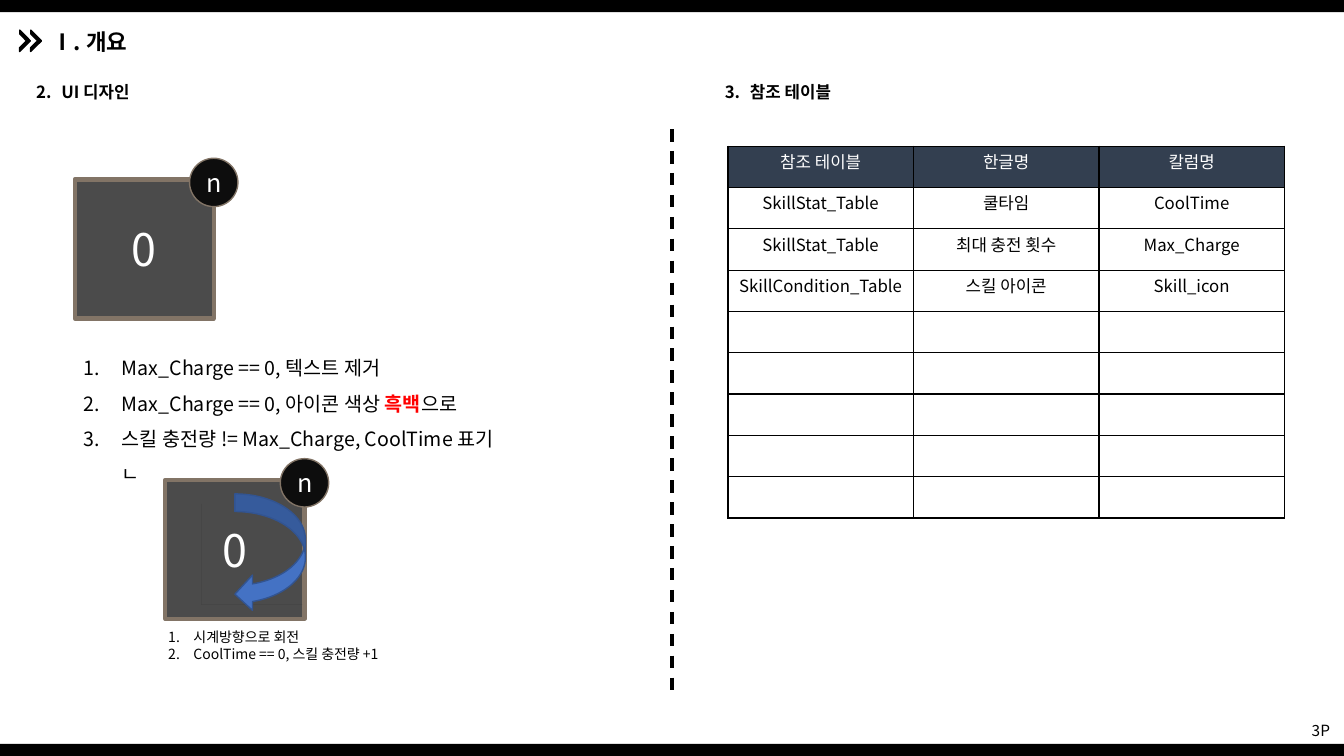
"""Build the overview slide with the skill icon design and its reference table."""
from copy import deepcopy

from lxml import etree
from pptx import Presentation
from pptx.dml.color import RGBColor
from pptx.enum.dml import MSO_LINE
from pptx.enum.shapes import MSO_CONNECTOR, MSO_SHAPE
from pptx.enum.text import MSO_ANCHOR, MSO_AUTO_SIZE, PP_ALIGN
from pptx.oxml.ns import qn
from pptx.util import Inches, Pt

LEFT, CENTER, RIGHT = PP_ALIGN.LEFT, PP_ALIGN.CENTER, PP_ALIGN.RIGHT
TOP, MIDDLE = MSO_ANCHOR.TOP, MSO_ANCHOR.MIDDLE
RECT, OVAL = MSO_SHAPE.RECTANGLE, MSO_SHAPE.OVAL
HALF_FRAME, CURVED_ARROW = MSO_SHAPE.HALF_FRAME, MSO_SHAPE.CURVED_LEFT_ARROW
FONT = "Noto Sans CJK KR"
COLORS = {
    "black": "000000", "white": "FFFFFF", "red": "FF0000", "tile": "4B4B4B",
    "frame": "827466", "badge": "0D0D0D", "arrow": "4472C4",
    "arrow_edge": "325491", "header": "333F50",
}

TITLE = "Ⅰ. 개요"
PAGE = "3P"
LISTS = [
    {"at": (0.26, 0.76, 1.19, 0.3), "size": 12, "bold": True, "start": 2,
     "hang": 0.25, "spacing": 1.0, "items": [["UI 디자인"]]},
    {"at": (7.09, 0.76, 1.36, 0.3), "size": 12, "bold": True, "start": 3,
     "hang": 0.25, "spacing": 1.0, "items": [["참조 테이블"]]},
    {"at": (0.73, 3.37, 4.46, 1.47), "size": 14, "bold": False, "start": 1,
     "hang": 0.38, "spacing": 1.5, "items": [
         ["Max_Charge == 0, 텍스트 제거"],
         ["Max_Charge == 0, 아이콘 색상 ", ("흑백", "red"), "으로"],
         ["스킬 충전량 != Max_Charge, CoolTime 표기", "\n", "ㄴ"]]},
    {"at": (1.57, 6.19, 2.48, 0.44), "size": 10, "bold": False, "start": 1,
     "hang": 0.25, "spacing": 1.0, "items": [
         ["시계방향으로 회전"], ["CoolTime == 0, 스킬 충전량 +1"]]},
]
TABLE_ROWS = [
    ("참조 테이블", "한글명", "칼럼명"),
    ("SkillStat_Table", "쿨타임", "CoolTime"),
    ("SkillStat_Table", "최대 충전 횟수", "Max_Charge"),
    ("SkillCondition_Table", "스킬 아이콘", "Skill_icon"),
]
TABLE_LEFT, TABLE_TOP, COLUMN, ROW, ROW_COUNT = 7.22, 1.45, 1.84, 0.41, 9
WIDTH, HEIGHT, BAR = 13.33, 7.5, 0.12
ICONS = [(0.74, 1.78), (1.64, 4.76)]
TILE, BADGE, BADGE_SHIFT = 1.38, 0.48, (1.14, -0.21)
CHEVRON, CHEVRON_TOP, CHEVRON_LEFTS = 0.15, 0.33, (0.23, 0.12)
SHADE = [(1.63, 4.77), (2.26, 4.77), (2.27, 5.52), (2.79, 6.15), (1.63, 6.15)]


def rgb(name):
    return RGBColor.from_string(COLORS[name])


def box(at):
    return [Inches(length) for length in at]


def set_all(target, values):
    for key, value in values.items():
        setattr(target, key, value)


def write(paragraph, text, size, color="black", bold=False):
    run = paragraph.add_run()
    run.text = text
    set_all(run.font, {"size": Pt(size), "bold": bold, "name": FONT})
    run.font.color.rgb = rgb(color)
    etree.SubElement(run.font._element, qn("a:ea"), typeface=FONT)
    return run


def write_line(frame, text, size, color, align, anchor, bold=False):
    frame.vertical_anchor = anchor
    paragraph = frame.paragraphs[0]
    paragraph.alignment = align
    write(paragraph, text, size, color, bold)


def paint(shape, fill, line=None, weight=1):
    shape.shadow.inherit = False
    shape.fill.solid()
    shape.fill.fore_color.rgb = rgb(fill)
    if line:
        shape.line.color.rgb = rgb(line)
        shape.line.width = Pt(weight)
    else:
        shape.line.fill.background()
    return shape


def add_shape(slide, kind, at, fill, line=None, weight=1):
    return paint(slide.shapes.add_shape(kind, *box(at)), fill, line, weight)


def add_icon(slide, left, top):
    tile = add_shape(slide, RECT, (left, top, TILE, TILE), "tile", "frame", 3)
    write_line(tile.text_frame, "0", 32, "white", CENTER, MIDDLE)
    dx, dy = BADGE_SHIFT
    badge = add_shape(slide, OVAL, (left + dx, top + dy, BADGE, BADGE), "badge", "frame")
    write_line(badge.text_frame, "n", 18, "white", CENTER, MIDDLE)


def add_list(slide, content):
    frame = slide.shapes.add_textbox(*box(content["at"])).text_frame
    set_all(frame, {"word_wrap": False, "auto_size": MSO_AUTO_SIZE.SHAPE_TO_FIT_TEXT})
    for index, item in enumerate(content["items"]):
        paragraph = frame.add_paragraph() if index else frame.paragraphs[0]
        paragraph.line_spacing = content["spacing"]
        properties = paragraph._p.get_or_add_pPr()
        hang = Inches(content["hang"])
        properties.set("marL", str(hang))
        properties.set("indent", str(-hang))
        number = etree.SubElement(properties, qn("a:buAutoNum"), type="arabicPeriod")
        if content["start"] > 1:
            number.set("startAt", str(content["start"]))
        for part in item:
            if part == "\n":
                paragraph.add_line_break()
                paragraph._p[-1].insert(0, deepcopy(run.font._element))
            elif isinstance(part, tuple):
                run = write(paragraph, part[0], content["size"], part[1], True)
            else:
                run = write(paragraph, part, content["size"], bold=content["bold"])


def add_borders(cell):
    properties = cell._tc.get_or_add_tcPr()
    for index, side in enumerate(("lnL", "lnR", "lnT", "lnB")):
        border = etree.Element(qn(f"a:{side}"), w=str(Pt(1)))
        fill = etree.SubElement(border, qn("a:solidFill"))
        etree.SubElement(fill, qn("a:srgbClr"), val=COLORS["black"])
        properties.insert(index, border)


def add_reference_table(slide):
    columns = len(TABLE_ROWS[0])
    at = (TABLE_LEFT, TABLE_TOP, COLUMN * columns, ROW * ROW_COUNT)
    table = slide.shapes.add_table(ROW_COUNT, columns, *box(at)).table
    set_all(table, {"first_row": False, "horz_banding": False})
    for row in range(ROW_COUNT):
        for column in range(columns):
            cell = table.cell(row, column)
            cell.fill.solid()
            cell.fill.fore_color.rgb = rgb("white" if row else "header")
            set_all(cell, {"margin_top": Inches(0.03), "margin_bottom": Inches(0.03)})
            add_borders(cell)
            if row < len(TABLE_ROWS):
                write_line(cell.text_frame, TABLE_ROWS[row][column], 12,
                           "black" if row else "white", CENTER, MIDDLE)


def add_cooldown(slide):
    builder = slide.shapes.build_freeform(*SHADE[0], scale=Inches(1))
    builder.add_line_segments(SHADE[1:], close=True)
    shade = paint(builder.convert_to_shape(), "black")
    color = shade._element.spPr.find(qn("a:solidFill"))[0]
    etree.SubElement(color, qn("a:alpha"), val="50000")
    add_shape(slide, CURVED_ARROW, (2.33, 4.9, 0.7, 1.17), "arrow", "arrow_edge")


def add_divider(slide):
    middle = WIDTH / 2
    divider = slide.shapes.add_connector(
        MSO_CONNECTOR.STRAIGHT, *box((middle, 1.28, middle, 6.92)))
    set_all(divider.line, {"width": Pt(2.25), "dash_style": MSO_LINE.DASH})
    divider.line.color.rgb = rgb("black")
    etree.SubElement(divider._element.spPr, qn("a:effectLst"))


def main():
    deck = Presentation()
    set_all(deck, {"slide_width": Inches(WIDTH), "slide_height": Inches(HEIGHT)})
    slide = deck.slides.add_slide(deck.slide_layouts[5])
    for top in (0, HEIGHT - BAR):
        add_shape(slide, RECT, (0, top, WIDTH, BAR), "black")

    title = slide.shapes.title
    set_all(title, dict(zip(("left", "top", "width", "height"), box((0.41, 0.23, 1.8, 0.37)))))
    title.text_frame.auto_size = MSO_AUTO_SIZE.NONE
    write_line(title.text_frame, TITLE, 16, "black", LEFT, TOP, True)
    for left in CHEVRON_LEFTS:
        chevron = add_shape(slide, HALF_FRAME, (left, CHEVRON_TOP, CHEVRON, CHEVRON),
                            "black", "black")
        chevron.rotation = 135.5
        chevron.adjustments[0] = chevron.adjustments[1] = 0.18

    for left, top in ICONS:
        add_icon(slide, left, top)
    add_cooldown(slide)
    for content in LISTS:
        add_list(slide, content)
    add_divider(slide)
    add_reference_table(slide)
    page = slide.shapes.add_textbox(*box((12.75, 7.15, 0.54, 0.19))).text_frame
    page.word_wrap = True
    write_line(page, PAGE, 11, "black", RIGHT, MIDDLE)
    deck.save("out.pptx")


if __name__ == "__main__":
    main()
